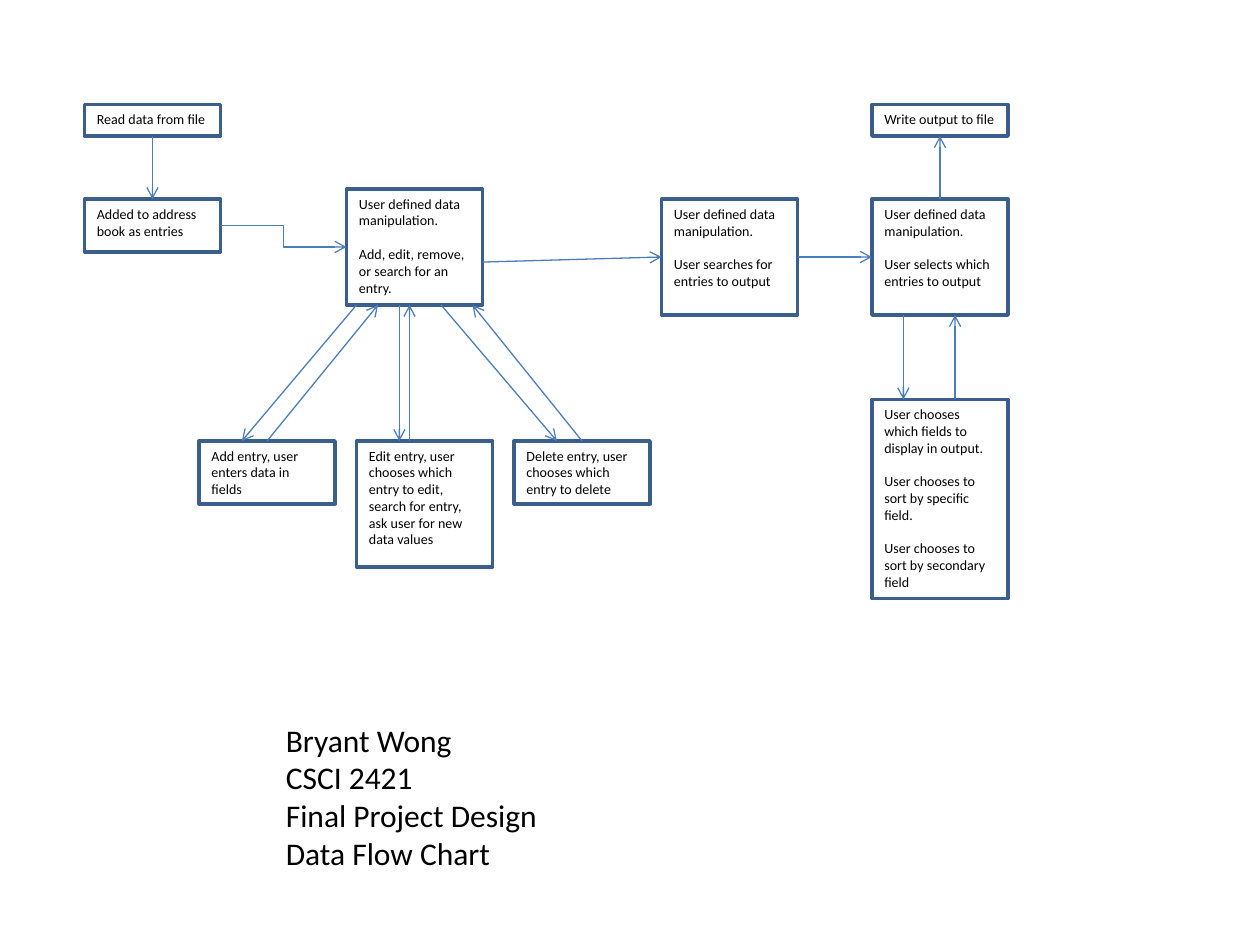
from dataclasses import dataclass

from lxml.etree import SubElement
from pptx import Presentation
from pptx.dml.color import RGBColor
from pptx.enum.shapes import MSO_CONNECTOR as Link, MSO_SHAPE as Preset
from pptx.enum.text import MSO_ANCHOR as Anchor, MSO_AUTO_SIZE as AutoSize, PP_ALIGN as Align
from pptx.oxml.ns import qn
from pptx.util import Inches, Pt


@dataclass(frozen=True)
class Theme:
    """Hold the colours, font and sizes of the flow chart."""
    font: str = "Calibri"
    ink: RGBColor = RGBColor(0x00, 0x00, 0x00)
    border: RGBColor = RGBColor(0x3A, 0x5F, 0x8C)
    arrow: RGBColor = RGBColor(0x4B, 0x7E, 0xBC)
    step_size: float = 8
    title_size: float = 18
    border_width: float = 2
    arrow_width: float = 0.75
    step_gap: float = 9.6


THEME = Theme()
STEP_WIDTH = 1.08
MANIPULATION = "User defined data manipulation."

STEPS = [
    (0.67, 0.83, 0.25, ["Read data from file"]),
    (0.67, 1.58, 0.42, ["Added to address book as entries"]),
    (2.75, 1.5, 0.92, [MANIPULATION, "Add, edit, remove, or search for an entry."]),
    (1.58, 3.5, 0.5, ["Add entry, user enters data in fields"]),
    (2.83, 3.5, 1, ["Edit entry, user chooses which entry to edit, search for entry, "
                    "ask user for new data values"]),
    (4.08, 3.5, 0.5, ["Delete entry, user chooses which entry to delete"]),
    (5.25, 1.58, 0.92, [MANIPULATION, "User searches for entries to output"]),
    (6.92, 1.58, 0.92, [MANIPULATION, "User selects which entries to output"]),
    (6.92, 3.17, 1.58, ["User chooses which fields to display in output.",
                        "User chooses to sort by specific field.",
                        "User chooses to sort by secondary field"]),
    (6.92, 0.83, 0.25, ["Write output to file"]),
]

ARROWS = [
    ((1.21, 1.08), (1.21, 1.58)),
    ((2.83, 2.42), (1.92, 3.5)),
    ((2.12, 3.5), (3, 2.42)),
    ((3.17, 2.42), (3.17, 3.5)),
    ((3.25, 3.5), (3.25, 2.42)),
    ((3.5, 2.42), (4.42, 3.5)),
    ((4.62, 3.5), (3.75, 2.42)),
    ((3.83, 2.08), (5.25, 2.04)),
    ((7.17, 2.5), (7.17, 3.17)),
    ((7.58, 3.17), (7.58, 2.5)),
    ((6.33, 2.04), (6.92, 2.04)),
    ((7.46, 1.58), (7.46, 1.08)),
]

CREDITS = ["Bryant Wong", "CSCI 2421", "Final Project Design", "Data Flow Chart"]


def write_text(frame, lines, *, size, gap=0):
    """Write each line as a left-aligned paragraph."""
    frame.word_wrap = True
    frame.vertical_anchor = Anchor.TOP
    for index, line in enumerate(lines):
        para = frame.add_paragraph() if index else frame.paragraphs[0]
        para.alignment = Align.LEFT
        para.space_before = Pt(gap if index else 0)
        span = para.add_run()
        span.text = line
        span.font.name = THEME.font
        span.font.size = Pt(size)
        span.font.color.rgb = THEME.ink


def add_step(page, left, top, height, lines):
    """Add an outlined box for one step of the flow."""
    box = page.shapes.add_shape(
        Preset.RECTANGLE, Inches(left), Inches(top), Inches(STEP_WIDTH), Inches(height))
    box.shadow.inherit = False
    box.fill.background()
    box.line.color.rgb = THEME.border
    box.line.width = Pt(THEME.border_width)
    write_text(box.text_frame, lines, size=THEME.step_size, gap=THEME.step_gap)


def add_arrow(page, start, end, kind=Link.STRAIGHT):
    """Add a connector with an open arrowhead at its end."""
    arrow = page.shapes.add_connector(kind, *map(Inches, (*start, *end)))
    arrow.line.color.rgb = THEME.arrow
    arrow.line.width = Pt(THEME.arrow_width)
    SubElement(arrow.line._get_or_add_ln(), qn("a:tailEnd"), type="arrow")
    SubElement(arrow._element.spPr, qn("a:effectLst"))


def add_credits(page):
    """Add the author and project lines below the chart."""
    box = page.shapes.add_textbox(Inches(2.17), Inches(5.67), Inches(2.58), Inches(1.31))
    write_text(box.text_frame, CREDITS, size=THEME.title_size)
    box.text_frame.auto_size = AutoSize.SHAPE_TO_FIT_TEXT


def main():
    """Build the flow chart and save the deck."""
    deck = Presentation()
    deck.slide_width, deck.slide_height = Inches(10), Inches(7.5)
    page = deck.slides.add_slide(deck.slide_layouts[6])
    for step in STEPS:
        add_step(page, *step)
    for start, end in ARROWS:
        add_arrow(page, start, end)
    add_arrow(page, (1.75, 1.79), (2.75, 1.96), Link.ELBOW)
    add_credits(page)
    deck.save("out.pptx")


main()
